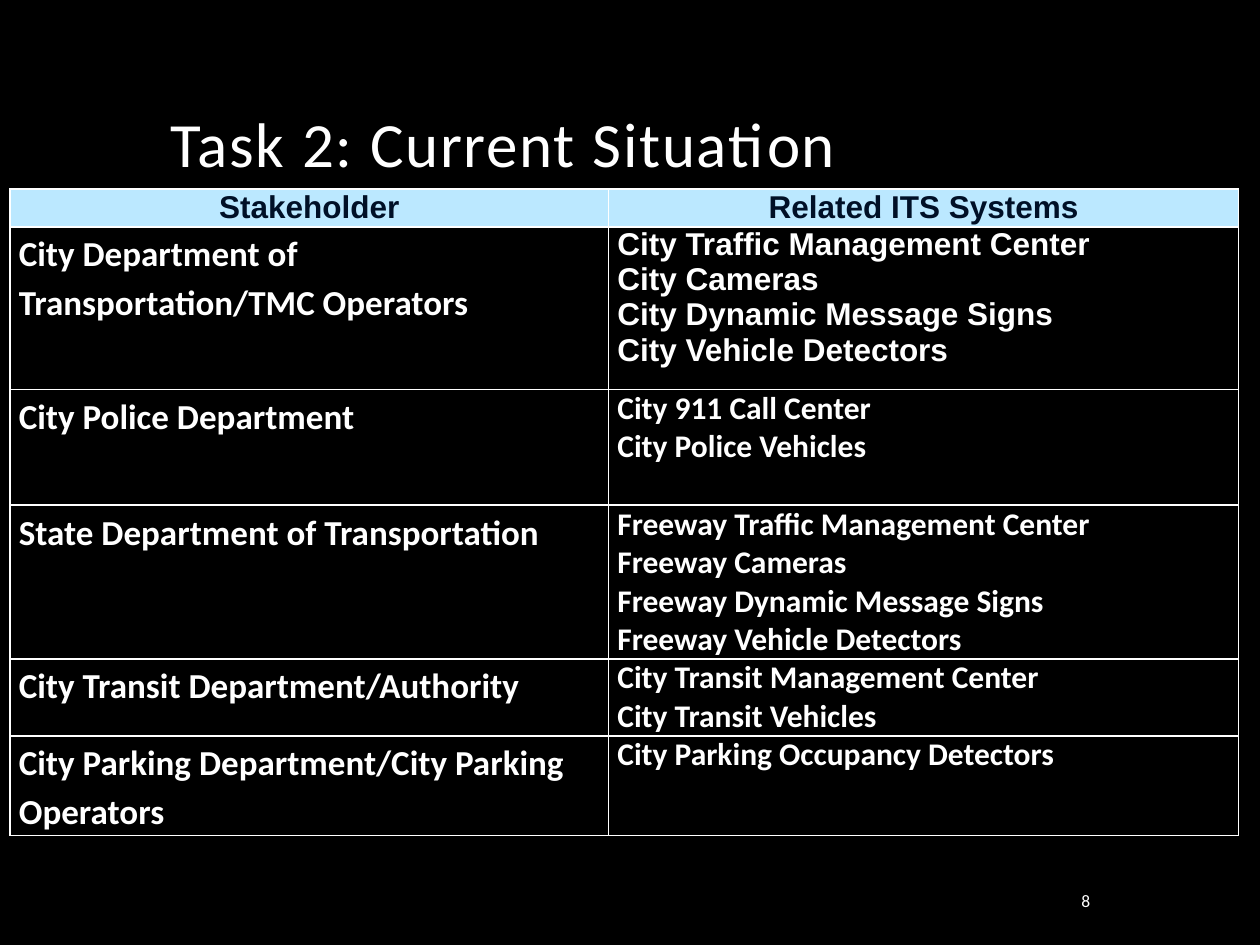
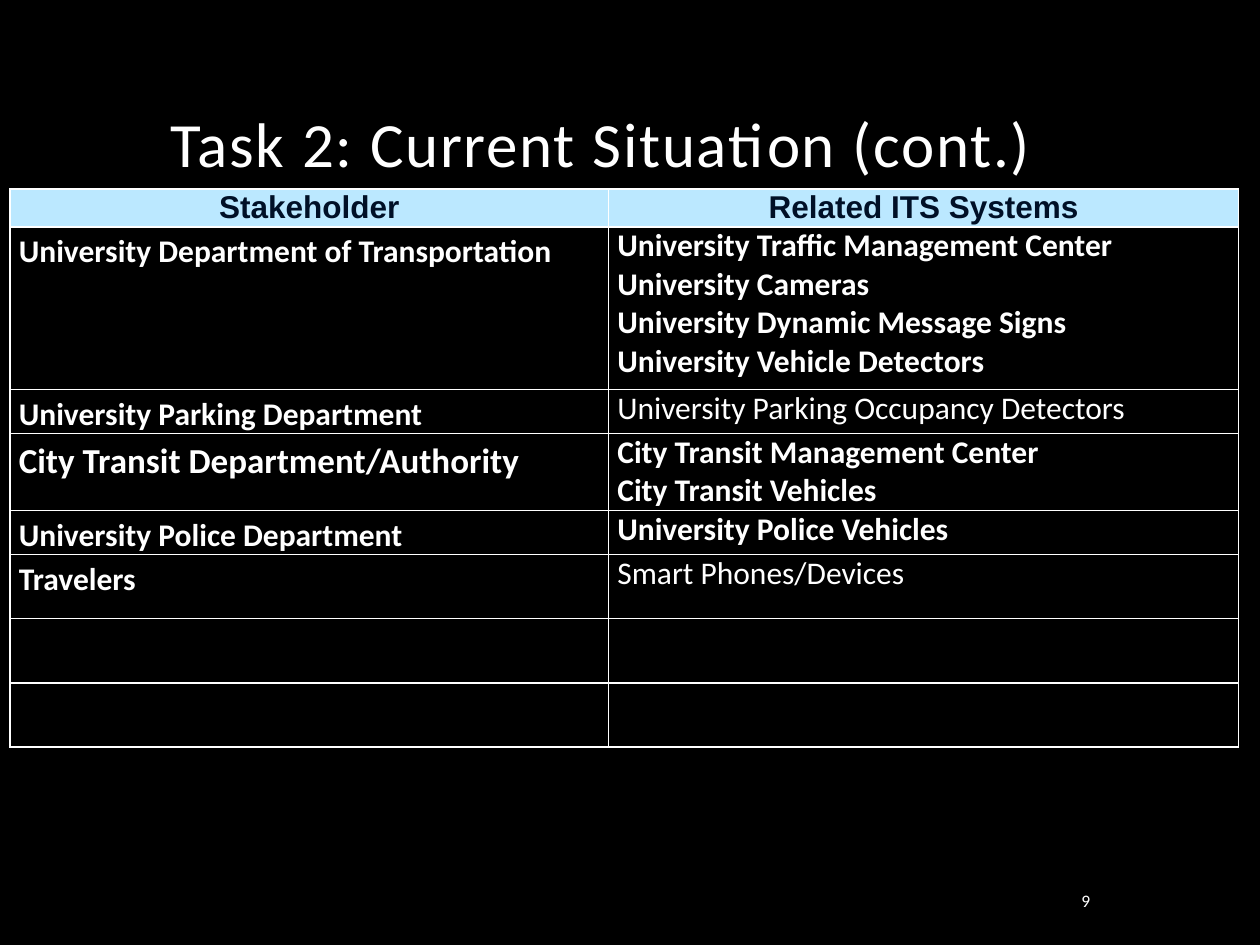
from lxml import etree
from pptx import Presentation
from pptx.dml.color import RGBColor
from pptx.enum.text import MSO_ANCHOR, MSO_AUTO_SIZE, PP_ALIGN
from pptx.oxml.ns import qn
from pptx.util import Inches, Pt

LEFT, CENTER, RIGHT = PP_ALIGN.LEFT, PP_ALIGN.CENTER, PP_ALIGN.RIGHT
TOP, MIDDLE = MSO_ANCHOR.TOP, MSO_ANCHOR.MIDDLE
FIXED = MSO_AUTO_SIZE.NONE

HEX = {"back": "000000", "text": "FFFFFF", "head": "BBE8FF", "dark": "001027"}
BODY, SANS = "Calibri", "Arial"
WIDE, HIGH = 10, 7.5
COLS = (4.75, 5)
HEADS = ("Stakeholder", "Related ITS Systems")
HEAD_H = 0.28
LARGE, SMALL = {"size": 20}, {"size": 18}
PLAIN = {"bold": False}

TRANSIT = (0.61, "City Transit Department/Authority", LARGE,
           ["City Transit Management Center", "City Transit Vehicles"], {})
BLANK = (0.51, "", SMALL, [""], {})

SLIDES = [
    {"title": "Task 2: Current Situation", "page": "8", "rows": [
        (1.29, "City Department of Transportation/TMC Operators", LARGE,
         ["City Traffic Management Center", "City Cameras",
          "City Dynamic Message Signs", "City Vehicle Detectors"], {"font": SANS}),
        (0.92, "City Police Department", LARGE,
         ["City 911 Call Center", "City Police Vehicles"], {}),
        (1.22, "State Department of Transportation", LARGE,
         ["Freeway Traffic Management Center", "Freeway Cameras",
          "Freeway Dynamic Message Signs", "Freeway Vehicle Detectors"], {}),
        TRANSIT,
        (0.79, "City Parking Department/City Parking Operators", LARGE,
         ["City Parking Occupancy Detectors"], {}),
    ]},
    {"title": "Task 2: Current Situation (cont.)", "page": "9", "rows": [
        (1.29, "University Department of Transportation", SMALL,
         ["University Traffic Management Center", "University Cameras",
          "University Dynamic Message Signs", "University Vehicle Detectors"], {}),
        (0.35, "University Parking Department", SMALL,
         ["University Parking Occupancy Detectors"], PLAIN),
        TRANSIT,
        (0.35, "University Police Department", SMALL,
         ["University Police Vehicles"], {}),
        (0.51, "Travelers", SMALL, ["Smart Phones/Devices"], PLAIN),
        BLANK,
        BLANK,
    ]},
]


def rgb(name):
    return RGBColor.from_string(HEX[name])


def write(frame, lines, size=18, font=BODY, color="text", bold=False,
          align=LEFT, space=1.0, track=0):
    for i, line in enumerate(lines):
        para = frame.paragraphs[0] if i == 0 else frame.add_paragraph()
        para.alignment = align
        para.line_spacing = space
        para.font.size = Pt(size)
        if not line:
            continue
        run = para.add_run()
        run.text = line
        run.font.size = Pt(size)
        run.font.name = font
        run.font.bold = bold
        run.font.color.rgb = rgb(color)
        if track:
            run.font._element.set("spc", str(track * 100))


def edge(cell):
    props = cell._tc.get_or_add_tcPr()
    for side in ("lnL", "lnR", "lnT", "lnB"):
        line = etree.SubElement(props, qn("a:" + side), w=str(Pt(1)))
        fill = etree.SubElement(line, qn("a:solidFill"))
        etree.SubElement(fill, qn("a:srgbClr"), val=HEX["text"])


def style(cell, fill=None, anchor=TOP):
    cell.margin_left = cell.margin_right = Inches(0.07)
    cell.margin_top = cell.margin_bottom = 0
    cell.vertical_anchor = anchor
    edge(cell)
    if fill:
        cell.fill.solid()
        cell.fill.fore_color.rgb = rgb(fill)
    else:
        cell.fill.background()


def add_grid(slide, rows):
    highs = [HEAD_H] + [row[0] for row in rows]
    table = slide.shapes.add_table(
        len(highs), len(COLS), Inches(0.08), Inches(HIGH * 0.2),
        Inches(sum(COLS)), Inches(sum(highs))).table
    table.first_row = table.horz_banding = False
    for col, wide in zip(table.columns, COLS):
        col.width = Inches(wide)
    for row, high in zip(table.rows, highs):
        row.height = Inches(high)
    for c, head in enumerate(HEADS):
        cell = table.cell(0, c)
        style(cell, "head", MIDDLE)
        write(cell.text_frame, [head], font=SANS, color="dark", bold=True,
              align=CENTER)
    for r, (high, name, look, systems, form) in enumerate(rows, 1):
        left, right = table.cell(r, 0), table.cell(r, 1)
        style(left)
        style(right)
        write(left.text_frame, [name], bold=True, space=1.15, **look)
        write(right.text_frame, systems, **{"bold": True, **form})


def add_title(slide, text):
    box = slide.shapes.title
    box.left, box.top = Inches(WIDE / 8), Inches(0.42)
    box.width, box.height = Inches(WIDE * 0.75), Inches(HIGH / 5)
    frame = box.text_frame
    frame.auto_size = FIXED
    frame.vertical_anchor = MIDDLE
    write(frame, [text], size=36, space=0.9, track=1)


def add_page(slide, text):
    box = slide.shapes.add_textbox(
        Inches(8.06), Inches(7), Inches(0.69), Inches(0.3))
    frame = box.text_frame
    frame.word_wrap = True
    frame.vertical_anchor = MIDDLE
    write(frame, [text], size=10, align=RIGHT)


def main():
    deck = Presentation()
    deck.slide_width, deck.slide_height = Inches(WIDE), Inches(HIGH)
    back = deck.slide_master.background.fill
    back.solid()
    back.fore_color.rgb = rgb("back")
    for item in SLIDES:
        slide = deck.slides.add_slide(deck.slide_layouts[5])
        add_title(slide, item["title"])
        add_page(slide, item["page"])
        add_grid(slide, item["rows"])
    deck.save("out.pptx")


if __name__ == "__main__":
    main()
